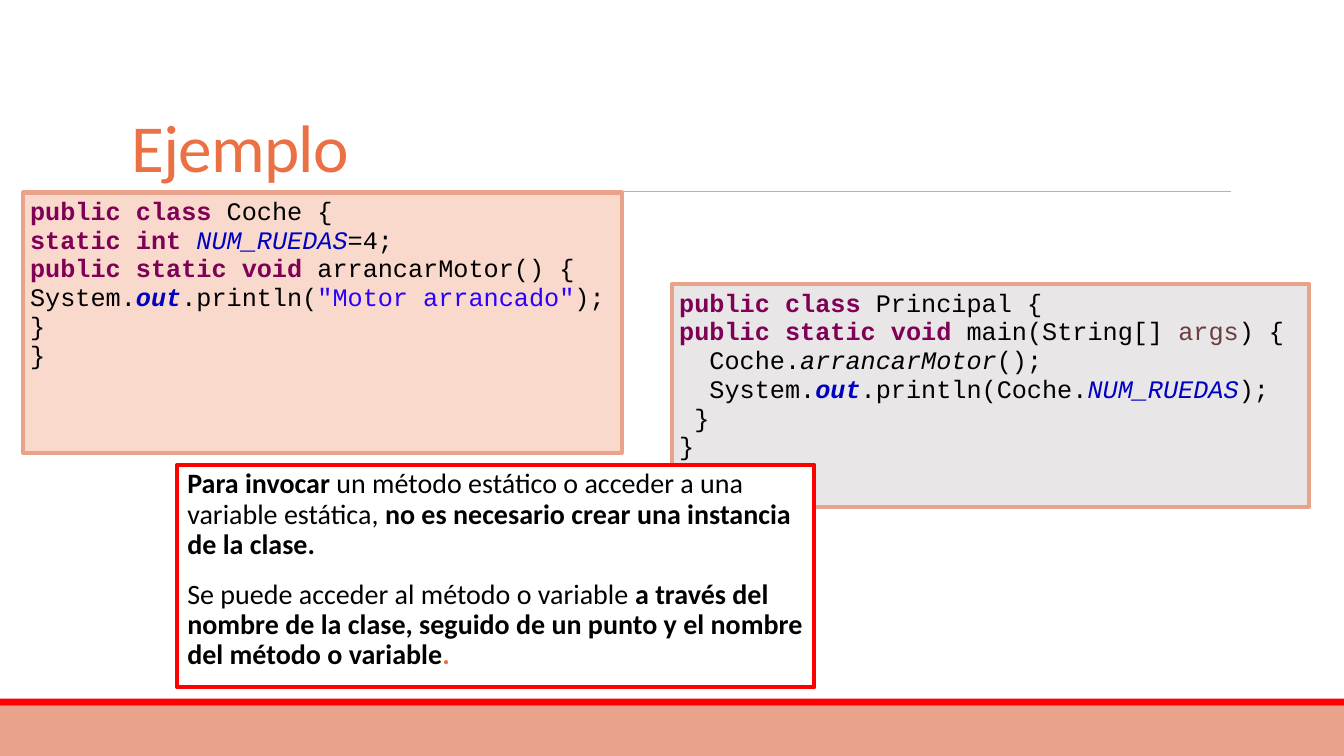
from dataclasses import dataclass
from typing import Any

from lxml import etree
from pptx import Presentation
from pptx import util as u
from pptx.dml import color
from pptx.enum import shapes, text
from pptx.oxml import ns

COLOURS: dict[str, str] = {
    "black": "000000", "white": "FFFFFF", "red": "FF0000",
    "footer": "D34817", "rule": "F19F83", "orange": "EB7044",
    "border": "E9A38B", "peach": "FAD9CD", "grey": "E9E6E7",
    "keyword": "7F0055", "member": "0000C0", "string": "2A00FF",
    "argument": "6A3E3E",
}
CODE_CHARACTER = 10.8  # advance of one Courier New character at 18 pt

# Run formats
PLAIN: dict[str, Any] = {}
BOLD = {"bold": True}
KEYWORD = {"bold": True, "colour": "keyword"}
CONSTANT = {"italic": True, "colour": "member"}
FIELD = {"bold": True, "italic": True, "colour": "member"}
METHOD = {"italic": True}
STRING = {"colour": "string"}
ARGUMENT = {"colour": "argument"}
ORANGE = {"colour": "orange"}


@dataclass
class Line:
    runs: list[tuple[str, dict[str, Any]]]
    indent: int = 0  # in code characters


@dataclass
class Box:
    left: float
    top: float
    width: float
    height: float
    fill: str
    border: str
    lines: list[Line]
    font: str = "Courier New"
    size: float = 18
    inset: float = 5
    spacing: float = 0.95
    before: float = 0
    after: float = 0


COCHE = Box(16.5, 137.5, 427.7, 185.8, "peach", "border", [
    Line([("public class", KEYWORD), (" Coche {", PLAIN)]),
    Line([("static int ", KEYWORD), ("NUM_RUEDAS", CONSTANT), ("=4;", PLAIN)]),
    Line([("public static void", KEYWORD), (" arrancarMotor() {", PLAIN)]),
    Line([("System.", PLAIN), ("out", FIELD), (".println(", PLAIN),
          ('"Motor arrancado"', STRING), (");", PLAIN)]),
    Line([("}", PLAIN)]),
    Line([("}", PLAIN)]),
])
PRINCIPAL = Box(480.2, 203, 455, 159.1, "grey", "border", [
    Line([("public class", KEYWORD), (" Principal {", PLAIN)]),
    Line([("public static void", KEYWORD), (" main(String[] ", PLAIN),
          ("args", ARGUMENT), (") {", PLAIN)]),
    Line([("Coche.", PLAIN), ("arrancarMotor", METHOD), ("();", PLAIN)], indent=2),
    Line([("System.", PLAIN), ("out", FIELD), (".println(Coche.", PLAIN),
          ("NUM_RUEDAS", CONSTANT), (");", PLAIN)], indent=2),
    Line([("}", PLAIN)], indent=1),
    Line([("}", PLAIN)]),
])
EXPLANATION = Box(126.7, 331.9, 455, 159.1, "white", "red", [
    Line([("Para invocar ", BOLD),
          ("un método estático o acceder a una variable estática, ", PLAIN),
          ("no es necesario crear una instancia de la clase.", BOLD)]),
    Line([("Se puede acceder al método o variable ", PLAIN),
          ("a través del nombre de la clase, seguido de un punto y el nombre "
           "del método o variable", BOLD),
          (".", {**BOLD, **ORANGE})]),
], font="Calibri", size=20, inset=7.2, spacing=0.9, before=12, after=2)


def rgb(name: str) -> color.RGBColor:
    return color.RGBColor.from_string(COLOURS[name])


def place(shape: Any, left: float, top: float, width: float, height: float) -> None:
    shape.left, shape.top = u.Pt(left), u.Pt(top)
    shape.width, shape.height = u.Pt(width), u.Pt(height)


def add_text(paragraph: Any, content: str, *, font: str, size: float,
             colour: str = "black", bold: bool = False, italic: bool = False,
             tracking: float = 0) -> None:
    run = paragraph.add_run()
    run.text = content
    run.font.name, run.font.size = font, u.Pt(size)
    run.font.bold, run.font.italic = bold, italic
    run.font.color.rgb = rgb(colour)
    if tracking:
        run.font._element.set("spc", str(round(tracking * 100)))


def fill_box(shape: Any, box: Box) -> None:
    place(shape, box.left, box.top, box.width, box.height)
    shape.fill.solid()
    shape.fill.fore_color.rgb = rgb(box.fill)
    shape.line.color.rgb = rgb(box.border)
    shape.line.width = u.Pt(3)
    frame = shape.text_frame
    frame.word_wrap = True
    frame.auto_size = text.MSO_AUTO_SIZE.NONE
    frame.vertical_anchor = text.MSO_ANCHOR.TOP
    frame.margin_left, frame.margin_right = u.Pt(box.inset), u.Pt(0)
    frame.margin_top = frame.margin_bottom = u.Pt(3.6)
    for index, line in enumerate(box.lines):
        paragraph = frame.add_paragraph() if index else frame.paragraphs[0]
        paragraph.alignment = text.PP_ALIGN.LEFT
        paragraph.line_spacing = box.spacing
        paragraph.space_before = u.Pt(box.before)
        paragraph.space_after = u.Pt(box.after)
        properties = paragraph._p.get_or_add_pPr()
        properties.set("marL", str(int(u.Pt(line.indent * CODE_CHARACTER))))
        properties.set("indent", "0")
        etree.SubElement(properties, ns.qn("a:buNone"))
        for content, style in line.runs:
            add_text(paragraph, content, font=box.font, size=box.size, **style)


def add_band(slide: Any, top: float, height: float, colour: str) -> Any:
    band = slide.shapes.add_shape(shapes.MSO_SHAPE.RECTANGLE, u.Pt(0), u.Pt(top),
                                  u.Pt(960), u.Pt(height))
    band.shadow.inherit = False
    band.fill.solid()
    band.fill.fore_color.rgb = rgb(colour)
    band.line.fill.background()
    return band


def add_background(slide: Any) -> None:
    footer = add_band(slide, 504, 36, "footer")
    value = footer.element.spPr.find(".//" + ns.qn("a:srgbClr"))
    etree.SubElement(value, ns.qn("a:alpha"), val="50000")
    stripe = add_band(slide, 499, 5, "red")
    rule = slide.shapes.add_connector(shapes.MSO_CONNECTOR.STRAIGHT, u.Pt(94.3),
                                      u.Pt(136.8), u.Pt(879.1), u.Pt(136.8))
    rule.line.color.rgb = rgb("rule")
    rule.line.width = u.Pt(0.5)
    etree.SubElement(rule.element.spPr, ns.qn("a:effectLst"))
    # Send the decoration behind the placeholders
    for position, shape in enumerate((footer, stripe, rule), start=2):
        shape.element.getparent().insert(position, shape.element)


def add_title(slide: Any) -> None:
    title = slide.shapes.title
    place(title, 86.4, 22.3, 792, 114.5)
    frame = title.text_frame
    frame.auto_size = text.MSO_AUTO_SIZE.NONE
    frame.vertical_anchor = text.MSO_ANCHOR.BOTTOM
    paragraph = frame.paragraphs[0]
    paragraph.alignment = text.PP_ALIGN.LEFT
    paragraph.line_spacing = 0.85
    add_text(paragraph, "Ejemplo", font="Calibri", size=48, colour="orange",
             tracking=-0.5)


def main() -> None:
    presentation = Presentation()
    presentation.slide_width, presentation.slide_height = u.Pt(960), u.Pt(540)
    slide = presentation.slides.add_slide(presentation.slide_layouts[3])
    add_background(slide)
    add_title(slide)

    # Code in the two body placeholders
    fill_box(slide.placeholders[1], COCHE)
    fill_box(slide.placeholders[2], PRINCIPAL)

    # Explanation on top of the code
    note = slide.shapes.add_shape(shapes.MSO_SHAPE.RECTANGLE, 0, 0, 0, 0)
    note.shadow.inherit = False
    fill_box(note, EXPLANATION)

    presentation.save("out.pptx")


if __name__ == "__main__":
    main()
